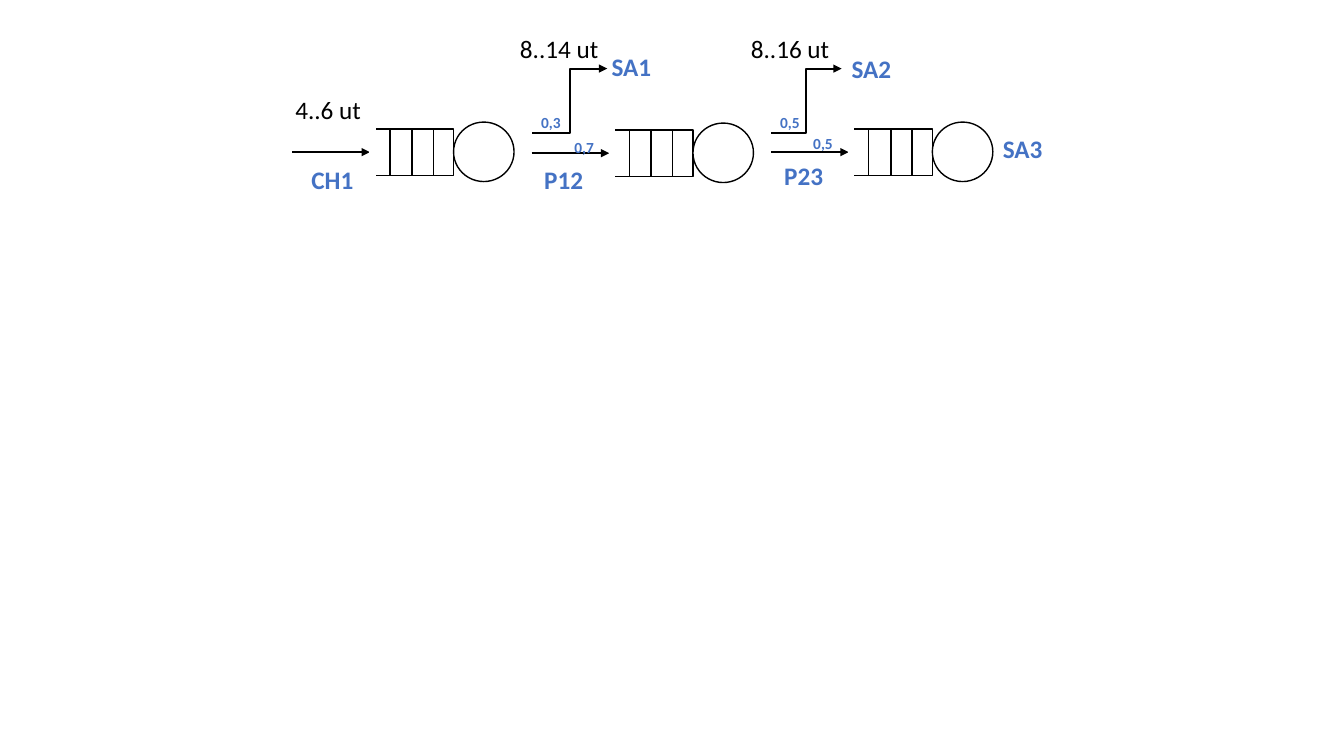
from lxml.etree import SubElement
from pptx import Presentation
from pptx.dml.color import RGBColor
from pptx.enum.shapes import MSO_CONNECTOR, MSO_SHAPE
from pptx.oxml.ns import qn
from pptx.util import Pt

BLACK, WHITE, BLUE = "000000", "FFFFFF", "4472C4"

FIRST_STAGE, STAGE_PITCH = 208.8, 171
# Arrow height and top of the white cover for each stage
STAGES = [(108.7, 87.8), (109.4, 90), (108.7, 91.4)]

# Start, end x of the branches that leave the system
EXITS = [(380.2, 433.8), (550.8, 601.2)]
EXIT_BOTTOM, EXIT_TOP = 95, 49

# Format: size, bold, colour, box height
NODE = ({"size": Pt(18), "bold": True, "name": "Calibri"}, BLUE, 29)
TIME = ({"size": Pt(18), "bold": False, "name": "Calibri"}, BLACK, 29)
SHARE = ({"size": Pt(11), "bold": True, "name": "Calibri"}, BLUE, 20.6)

# Text, left, top, width, format
LABELS = [
    ("CH1", 215.3, 113.8, 48, NODE),
    ("P12", 381.6, 113.8, 48, NODE),
    ("P23", 553, 110.9, 48, NODE),
    ("SA1", 429.8, 33.1, 48, NODE),
    ("SA2", 601.2, 34.6, 48, NODE),
    ("4..6 ut", 203.8, 64.1, 70, TIME),
    ("8..14 ut", 364.3, 20.2, 76.5, TIME),
    ("8..16 ut", 529.2, 20.2, 76.5, TIME),
    ("0,7", 403.2, 95, 30.2, SHARE),
    ("0,3", 379.4, 77, 30.2, SHARE),
    ("0,5", 573.8, 92.2, 30.2, SHARE),
    ("0,5", 550.1, 77, 30.2, SHARE),
    ("SA3", 709.2, 91.4, 48, NODE),
]


def paint(color_format, hex_color):
    color_format.rgb = RGBColor.from_string(hex_color)


def add_outline(diagram, kind, left, top, width, height, line=BLACK):
    outline = diagram.add_shape(kind, Pt(left), Pt(top), Pt(width), Pt(height))
    outline.shadow.inherit = False
    outline.fill.solid()
    paint(outline.fill.fore_color, WHITE)
    paint(outline.line.color, line)
    outline.line.width = Pt(1)


def add_path(diagram, kind, start, end, arrow=True):
    path = diagram.add_connector(kind, *map(Pt, start + end))
    paint(path.line.color, BLACK)
    path.line.width = Pt(1.5)
    properties = path._element.spPr
    if arrow:
        SubElement(properties.find(qn("a:ln")), qn("a:tailEnd"), type="triangle")
    SubElement(properties, qn("a:effectLst"))


def add_label(diagram, text, left, top, width, label_format):
    values, color, height = label_format
    label = diagram.add_textbox(Pt(left), Pt(top), Pt(width), Pt(height))
    label.text_frame.word_wrap = True
    run = label.text_frame.paragraphs[0].add_run()
    run.text = text
    for attribute, value in values.items():
        setattr(run.font, attribute, value)
    paint(run.font.color, color)


def add_stage(diagram, left, axis):
    """Arrow into a waiting queue followed by its server."""
    queue, top, height = left + 55.4, axis - 16.5, 33.1
    divider = queue + 30
    add_path(diagram, MSO_CONNECTOR.STRAIGHT, (left, axis), (queue, axis))
    add_outline(diagram, MSO_SHAPE.RECTANGLE, queue, top, 59.8, height)
    add_outline(diagram, MSO_SHAPE.RECTANGLE, queue + 14.4, top, 31, height)
    add_path(diagram, MSO_CONNECTOR.STRAIGHT, (divider, top),
             (divider, top + height), arrow=False)
    add_outline(diagram, MSO_SHAPE.OVAL, queue + 59.8, top - 5, 43.2, 42.5)


def main():
    presentation = Presentation()
    presentation.slide_width, presentation.slide_height = Pt(960), Pt(540)
    slide = presentation.slides.add_slide(presentation.slide_layouts[6])
    diagram = slide.shapes.add_group_shape().shapes

    # Queues and servers
    stage_lefts = [FIRST_STAGE + STAGE_PITCH * i for i in range(len(STAGES))]
    for left, (axis, _) in zip(stage_lefts, STAGES):
        add_stage(diagram, left, axis)

    # Branches to the exits
    for start, end in EXITS:
        add_path(diagram, MSO_CONNECTOR.ELBOW, (start, EXIT_BOTTOM), (end, EXIT_TOP))

    # Names, times and shares
    for label in LABELS:
        add_label(diagram, *label)

    # White covers that open the left end of each queue
    for left, (_, cover_top) in zip(stage_lefts, STAGES):
        add_outline(diagram, MSO_SHAPE.RECTANGLE, left + 55.4, cover_top, 3.6, 42.5, WHITE)

    presentation.save("out.pptx")


if __name__ == "__main__":
    main()
